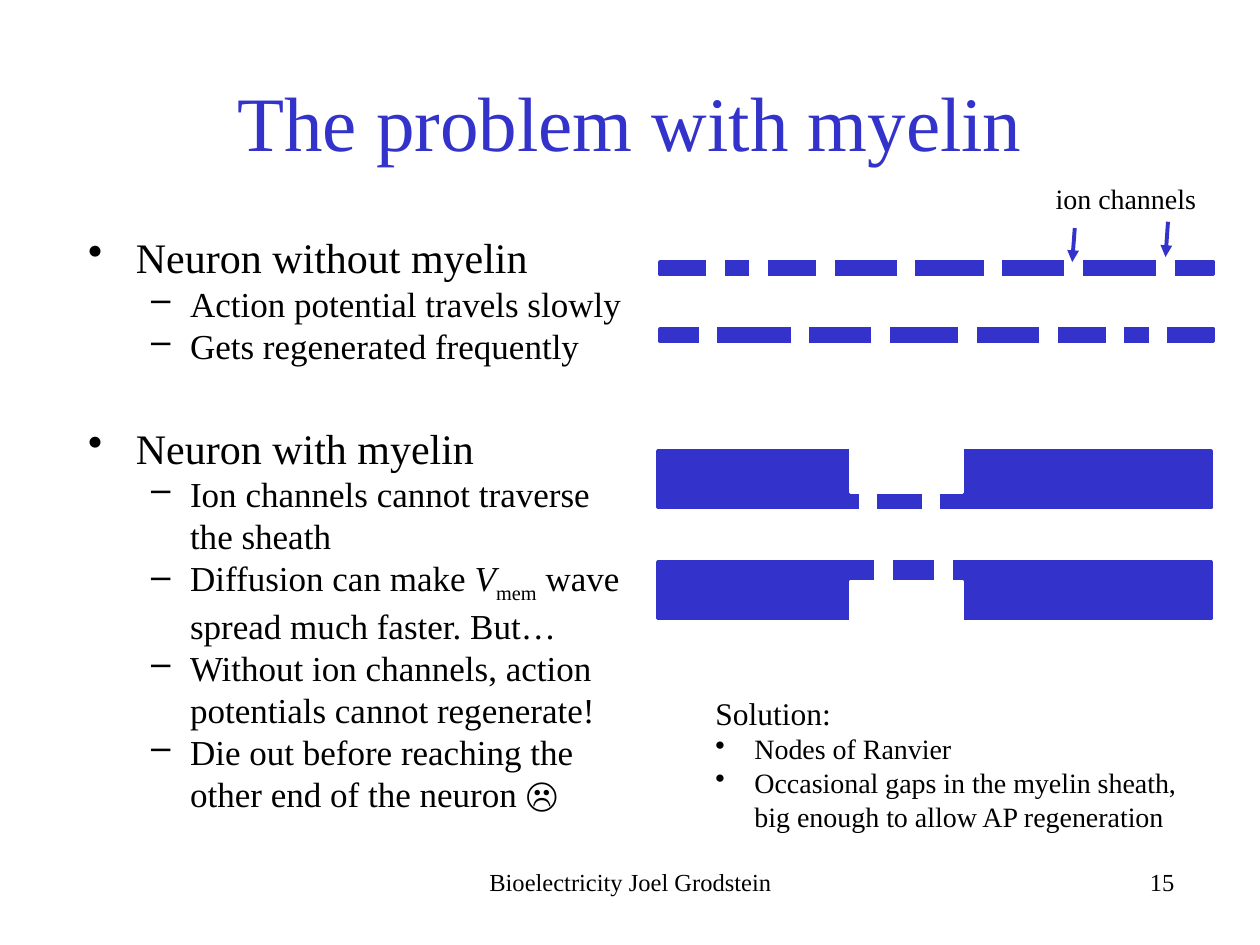
from pptx import Presentation, util as u
from pptx.dml.color import RGBColor
from pptx.enum import shapes, text
from pptx.oxml.ns import qn
from lxml import etree

INK, BLUE, WHITE = "000000", "3333CC", "FFFFFF"
FONT = "Times New Roman"
GAP_W, GAP_H = 0.12, 0.19


def tint(hue):
    """Turn a hex string into a colour."""
    return RGBColor.from_string(hue)


def sub(node, tag, **attrs):
    """Append a DrawingML child with attributes."""
    return etree.SubElement(node, qn(tag), attrs)


def frame(slide, box):
    """Add an empty wrapping text box."""
    body = slide.shapes.add_textbox(*map(u.Inches, box)).text_frame
    body.word_wrap = True
    return body


def write(par, runs, size, hue=INK):
    """Add (text, style) runs to a paragraph."""
    for words, style in runs:
        run = par.add_run()
        run.text = words
        font = run.font
        font.name, font.size = FONT, u.Pt(size)
        font.color.rgb = tint(hue)
        if style == "italic":
            font.italic = True
        if style == "sub":
            font._element.set("baseline", "-25000")


def bullet(par, mark, left, hang):
    """Give a paragraph a bullet and hanging indent."""
    props = par._p.get_or_add_pPr()
    props.set("marL", str(u.Inches(left)))
    props.set("indent", str(-u.Inches(hang)))
    sub(props, "a:buChar", char=mark)


def label(slide, box, words, size, align, hue=INK, anchor=text.MSO_ANCHOR.TOP):
    """Place a single line of text."""
    body = frame(slide, box)
    body.vertical_anchor = anchor
    par = body.paragraphs[0]
    par.alignment = align
    write(par, [(words, "")], size, hue)


def topics(slide, box, items):
    """Place headed groups of dashed points."""
    body = frame(slide, box)
    par = body.paragraphs[0]
    for before, head, points in items:
        if par is None:
            par = body.add_paragraph()
        par.space_before = u.Pt(before)
        bullet(par, "•", 0.38, 0.38)
        write(par, [(head, "")], 24)
        for runs in points:
            par = body.add_paragraph()
            par.level = 1
            par.space_before = u.Pt(0)
            bullet(par, "–", 0.81, 0.31)
            write(par, runs, 20)
        par = None


def answer(slide, box, head, points):
    """Place a heading with bulleted points."""
    body = frame(slide, box)
    write(body.paragraphs[0], [(head, "")], 18)
    for words in points:
        par = body.add_paragraph()
        bullet(par, "•", 0.31, 0.31)
        write(par, [(words, "")], 16)


def block(group, box, hue):
    """Add a solid rectangle."""
    rect = group.shapes.add_shape(shapes.MSO_SHAPE.RECTANGLE, *map(u.Inches, box))
    rect.shadow.inherit = False
    rect.fill.solid()
    rect.fill.fore_color.rgb = rect.line.color.rgb = tint(hue)
    rect.line.width = u.Pt(2)


def bare(slide, box, gaps):
    """Draw a thin membrane crossed by channel gaps."""
    left, top, width, height = box
    group = slide.shapes.add_group_shape()
    block(group, box, BLUE)
    for gap in gaps:
        block(group, (left + gap, top - 0.04, GAP_W, GAP_H), WHITE)


def sheath(slide, box, notch, gaps):
    """Draw a thick sheath with a notch and channel gaps."""
    left, top, width, height = box
    group = slide.shapes.add_group_shape()
    block(group, box, BLUE)
    block(group, (left + 1.53, top + notch, 0.89, 0.53), WHITE)
    for across, down in gaps:
        block(group, (left + across, top + down, GAP_W, GAP_H), WHITE)


def arrow(slide, start, end):
    """Draw an arrow between two points."""
    line = slide.shapes.add_connector(
        shapes.MSO_CONNECTOR.STRAIGHT, *map(u.Inches, start + end))
    line.line.color.rgb = tint(BLUE)
    line.line.width = u.Pt(2.25)
    sub(line.line._get_or_add_ln(), "a:tailEnd", type="triangle")
    sub(line._element.spPr, "a:effectLst")


def neurons(slide, left, top):
    """Draw both neurons and the channel arrows."""
    width, gaps = 4.39, [0.38, 0.72, 1.25, 1.89, 2.58, 3.22, 3.95]
    bare(slide, (left, top, width, 0.1), gaps)
    bare(slide, (left, top + 0.53, width, 0.1),
         [width - GAP_W - gap for gap in gaps])
    for across, start, end in ((4.03, -0.32, -0.04), (3.29, -0.27, 0)):
        arrow(slide, (left + across, top + start),
              (left + across - 0.02, top + end))
    sheath(slide, (left - 0.02, top + 1.5, width, 0.45), -0.2,
           [(1.61, 0.29), (2.11, 0.27)])
    sheath(slide, (left - 0.02, top + 2.38, width, 0.45), 0.16,
           [(1.73, -0.02), (2.21, -0.05)])


def build():
    """Build and save the slide."""
    deck = Presentation()
    deck.slide_width, deck.slide_height = u.Inches(10), u.Inches(7.5)
    slide = deck.slides.add_slide(deck.slide_layouts[6])
    side = text.PP_ALIGN
    label(slide, (0.75, 0.33, 8.5, 1.25), "The problem with myelin", 44,
          side.CENTER, BLUE, text.MSO_ANCHOR.MIDDLE)
    topics(slide, (0.6, 1.79, 4.48, 4.4), [
        (4.8, "Neuron without myelin", [
            [("Action potential travels slowly", "")],
            [("Gets regenerated frequently", "")]]),
        (32, "Neuron with myelin", [
            [("Ion channels cannot traverse the sheath", "")],
            [("Diffusion can make ", ""), ("V", "italic"), ("mem", "sub"),
             (" wave spread much faster. But…", "")],
            [("Without ion channels, action potentials cannot regenerate!", "")],
            [("Die out before reaching the other end of the neuron ☹", "")]])])
    neurons(slide, 5.24, 2.08)
    label(slide, (8.28, 1.39, 1.44, 0.37), "ion channels", 16, side.LEFT)
    answer(slide, (5.58, 5.46, 4.1, 1.21), "Solution:", [
        "Nodes of Ranvier",
        "Occasional gaps in the myelin sheath, big enough to allow AP regeneration"])
    label(slide, (3.42, 6.83, 3.17, 0.34), "Bioelectricity Joel Grodstein", 14,
          side.CENTER)
    label(slide, (6.25, 6.83, 3.17, 0.5), "15", 14, side.RIGHT)
    deck.save("out.pptx")


build()
